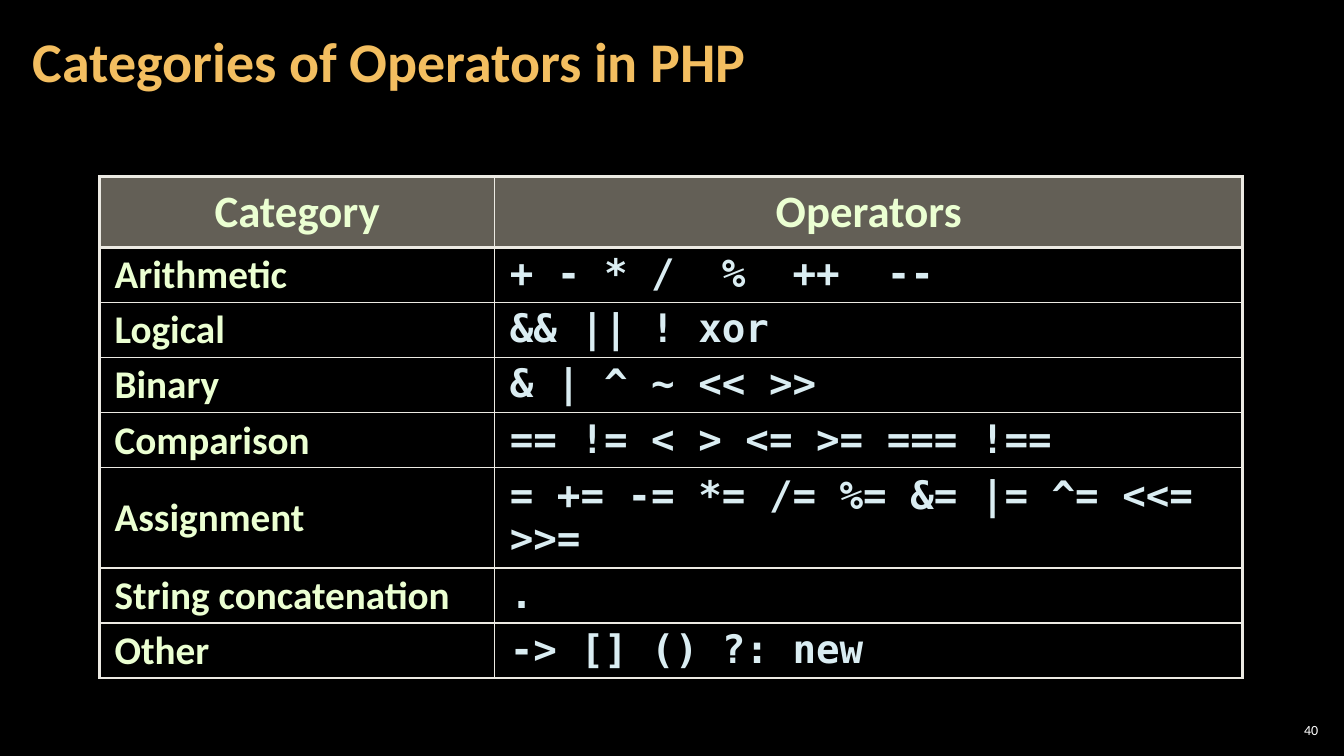
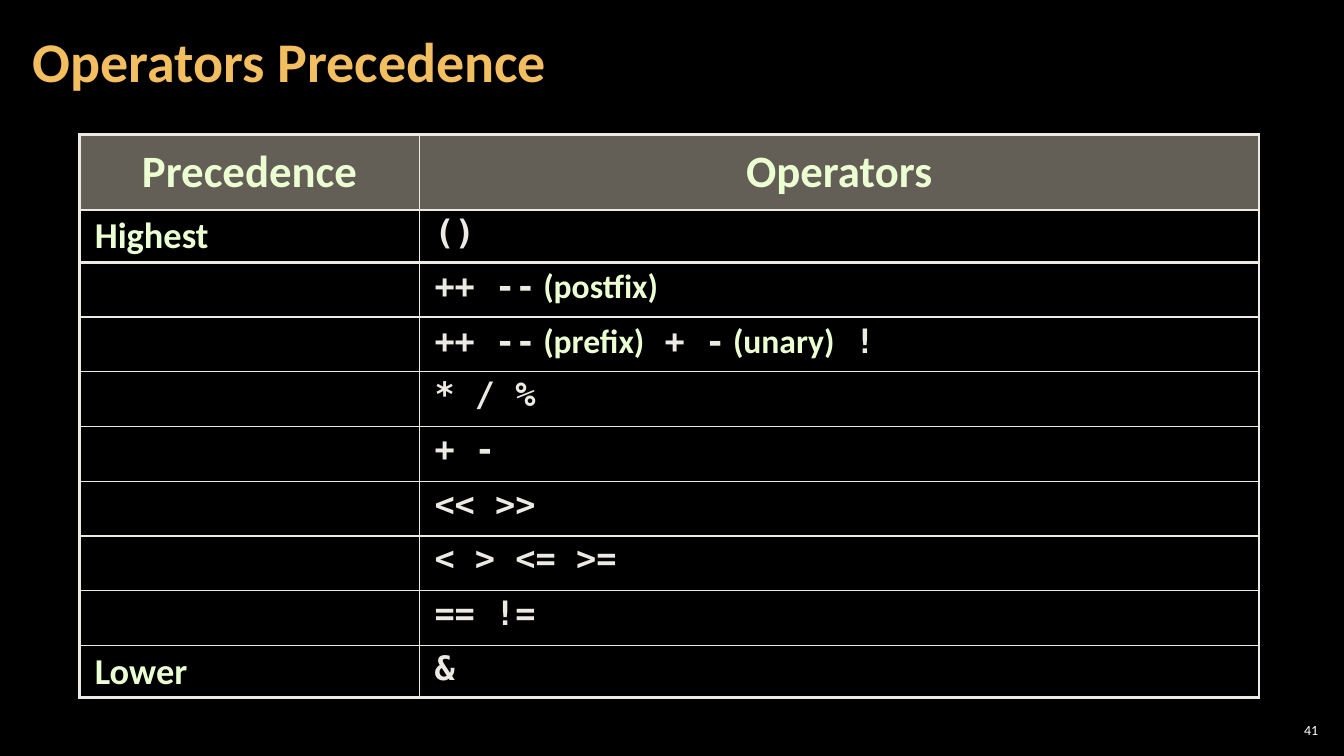
from itertools import cycle

from lxml import etree
from pptx import Presentation
from pptx import util as u
from pptx.dml.color import RGBColor
from pptx.enum import text
from pptx.oxml.ns import qn

SANS, MONO = "Calibri", "DejaVu Sans Mono"
LEFT, CENTER, RIGHT = text.PP_ALIGN.LEFT, text.PP_ALIGN.CENTER, text.PP_ALIGN.RIGHT
MIDDLE, TOP = text.MSO_ANCHOR.MIDDLE, text.MSO_ANCHOR.TOP
LINE, HEAD_FILL = "ECEAE3", "C7BFAC"
THIN, THICK = 1, 2.25


def rgb(value):
    return RGBColor.from_string(value)


def font(size, color, name=SANS, bold=True):
    return {"size": u.Pt(size), "name": name, "bold": bold, "color": color}


TITLE = font(40, "F3BE60")
NUMBER = font(10, "FFFFFF", bold=False)
HEAD = font(32, "EBFFD2")


class Deck:
    """Holds the shared style and the current slide."""

    def __init__(self):
        self.prs = Presentation()
        self.prs.slide_width, self.prs.slide_height = u.Cm(33.87), u.Cm(19.05)
        self.s = None

    def slide(self, title, number):
        self.s = self.prs.slides.add_slide(self.prs.slide_layouts[6])
        fill = self.s.background.fill
        fill.solid()
        fill.fore_color.rgb = rgb("000000")
        self.box(title, (0.53, 0.1, 26.59, 3.07), TITLE, 0.3, spacing=0.9)
        self.box(str(number), (32.13, 18.14, 1.19, 0.53), NUMBER, 0.1, RIGHT)

    def box(self, words, place, style, inset, align=LEFT, spacing=1.0):
        tf = self.s.shapes.add_textbox(*map(u.Cm, place)).text_frame
        frame = {"word_wrap": True, "vertical_anchor": MIDDLE,
                 "margin_left": u.Cm(inset), "margin_right": u.Cm(inset),
                 "margin_top": u.Cm(0.1), "margin_bottom": u.Cm(0.1)}
        for name, value in frame.items():
            setattr(tf, name, value)
        self.add_runs(tf.paragraphs[0], [(words, style)], align, spacing)

    def add_runs(self, p, runs, align, spacing):
        p.alignment, p.line_spacing = align, spacing
        for words, style in runs:
            r = p.add_run()
            r.text = words
            for name, value in style.items():
                if name == "color":
                    r.font.color.rgb = rgb(value)
                else:
                    setattr(r.font, name, value)

    def cell(self, cell, runs, align=LEFT, anchor=MIDDLE):
        frame = {"vertical_anchor": anchor,
                 "margin_left": u.Cm(0.38), "margin_right": u.Cm(0.38),
                 "margin_top": u.Cm(0.13), "margin_bottom": u.Cm(0.13)}
        for name, value in frame.items():
            setattr(cell, name, value)
        self.add_runs(cell.text_frame.paragraphs[0], runs, align, 0.95)
        cell.fill.background()

    def shade(self, cell):
        cell.fill.solid()
        cell.fill.fore_color.rgb = rgb(HEAD_FILL)
        color = next(cell._tc.tcPr.iter(qn("a:srgbClr")))
        etree.SubElement(color, qn("a:alpha"), val="50000")

    def borders(self, cell, widths):
        # Border elements come before the fill, in the order L, R, T, B
        tc_pr = cell._tc.get_or_add_tcPr()
        for i, (side, width) in enumerate(zip("LRTB", widths)):
            ln = etree.Element(qn("a:ln" + side), w=str(u.Pt(width)))
            solid = etree.SubElement(ln, qn("a:solidFill"))
            etree.SubElement(solid, qn("a:srgbClr"), val=LINE)
            tc_pr.insert(i, ln)

    def table(self, at, widths, heights, heads, rows, label, styles,
              anchor=MIDDLE, thick_rules=(0, 1)):
        """Each row is a label and its texts, which take the styles in turn."""
        table = self.s.shapes.add_table(
            len(heights), len(widths), *map(u.Cm, (*at, sum(widths), sum(heights)))).table
        table.first_row = table.horz_banding = False
        for column, width in zip(table.columns, widths):
            column.width = u.Cm(width)
        for row, height in zip(table.rows, heights):
            row.height = u.Cm(height)

        for cell, head in zip(table.rows[0].cells, heads):
            self.cell(cell, [(head, HEAD)], CENTER)
            self.shade(cell)
        for i, (name, *operators) in enumerate(rows, 1):
            self.cell(table.cell(i, 0), [(name, label)] if name else [])
            self.cell(table.cell(i, 1), zip(operators, cycle(styles)), anchor=anchor)

        down = [THICK if i in (*thick_rules, len(heights)) else THIN
                for i in range(len(heights) + 1)]
        across = [THICK, THIN, THICK]
        for i, row in enumerate(table.rows):
            for j, cell in enumerate(row.cells):
                self.borders(cell, across[j:j + 2] + down[i:i + 2])


def main():
    deck = Deck()

    # Operator categories
    deck.slide("Categories of Operators in PHP", 40)
    deck.table(
        (2.51, 4.45), (9.96, 18.85), [1.78] + [1.38] * 4 + [2.53] + [1.38] * 2,
        ("Category", "Operators"),
        [("Arithmetic", "+ - * /  %  ++  --"),
         ("Logical", "&& || ! xor"),
         ("Binary", "& | ^ ~ << >>"),
         ("Comparison", "== != < > <= >= === !=="),
         ("Assignment", "= += -= *= /= %= &= |= ^= <<= >>="),
         ("String concatenation", "."),
         ("Other", "-> [] () ?: new")],
        font(28, "EBFFD2"), [font(28, "DAEDF2", MONO)])

    # Operator precedence: code and notes alternate
    deck.slide("Operators Precedence", 41)
    deck.table(
        (2.01, 3.38), (8.56, 21.16), [1.91, 1.32] + [1.38] * 7 + [1.32],
        ("Precedence", "Operators"),
        [("Highest", "()"),
         ("", "++ --", " (postfix)"),
         ("", "++ --", " (prefix)", " + -", " (unary)", " !"),
         ("", "* / %"),
         ("", "+ -"),
         ("", "<< >>"),
         ("", "< > <= >="),
         ("", "== !="),
         ("Lower", "&")],
        font(26, "EBFFD2"), [font(24, LINE, MONO), font(24, "EBFFD2")],
        TOP, thick_rules=(0, 1, 2))

    deck.prs.save("out.pptx")


if __name__ == "__main__":
    main()
